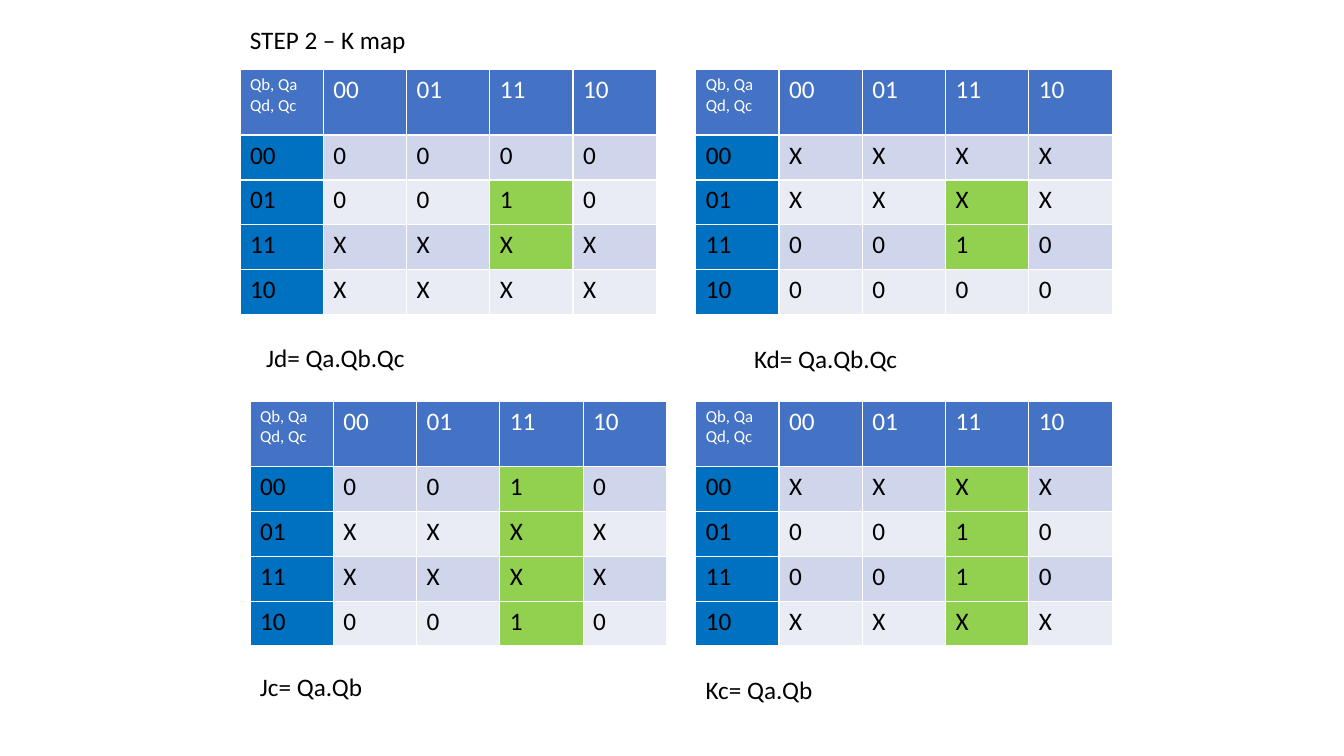
import pptx
import pptx.dml.color
import pptx.enum.text
import pptx.util

Inches = pptx.util.Inches

GRAY_CODES = ["00", "01", "11", "10"]
TABLE_WIDTH, TABLE_HEIGHT, HEADER_HEIGHT = 4.13, 2.43, 0.65
LABEL_WIDTH, LABEL_HEIGHT = 2.48, 0.4
HEADER_FILL, CODE_FILL, GROUP_FILL = "4472C4", "0070C0", "92D050"
BAND_FILLS = ["CFD5EA", "E9EBF5"]
GROUP_COLUMN = GRAY_CODES.index("11")

# Each map: left, top, rows of values, grouped rows, equation, equation offset
MAPS = [
    (2.38, 0.69, ["0000", "0010", "XXXX", "XXXX"], [1, 2], "Jd= Qa.Qb.Qc", (0.16, 2.66)),
    (6.9, 0.69, ["XXXX", "XXXX", "0010", "0000"], [1, 2], "Kd= Qa.Qb.Qc", (0.48, 2.67)),
    (2.48, 3.98, ["0010", "XXXX", "XXXX", "0010"], [0, 1, 2, 3], "Jc= Qa.Qb", (0, 2.63)),
    (6.9, 3.98, ["XXXX", "0010", "0010", "XXXX"], [0, 1, 2, 3], "Kc= Qa.Qb", (0, 2.66)),
]


def color(value):
    """Return the colour for a hex string."""
    return pptx.dml.color.RGBColor.from_string(value)


def write(text_frame, text, size=18, font_color="000000"):
    """Put text into a frame, one paragraph per line."""
    text_frame.text = text
    for paragraph in text_frame.paragraphs:
        paragraph.font.name = "Calibri"
        paragraph.font.size = pptx.util.Pt(size)
        paragraph.font.bold = False
        paragraph.font.color.rgb = color(font_color)


def fill_cell(cell, text, fill, size=18, font_color="000000"):
    """Set the text and background of a table cell."""
    cell.fill.solid()
    cell.fill.fore_color.rgb = color(fill)
    write(cell.text_frame, text, size, font_color)


def add_label(slide, left, top, width, text, wrap=True):
    """Add a single-line text box."""
    box = slide.shapes.add_textbox(
        Inches(left), Inches(top), Inches(width), Inches(LABEL_HEIGHT))
    box.text_frame.word_wrap = wrap
    box.text_frame.auto_size = pptx.enum.text.MSO_AUTO_SIZE.SHAPE_TO_FIT_TEXT
    write(box.text_frame, text)


def add_map(slide, left, top, values, grouped_rows, equation, offset):
    """Add a Karnaugh map with its equation below."""
    count = len(GRAY_CODES) + 1
    table = slide.shapes.add_table(
        count, count, Inches(left), Inches(top),
        Inches(TABLE_WIDTH), Inches(TABLE_HEIGHT)).table
    for column in table.columns:
        column.width = Inches(TABLE_WIDTH / count)
    for row in table.rows:
        row.height = Inches((TABLE_HEIGHT - HEADER_HEIGHT) / len(GRAY_CODES))
    table.rows[0].height = Inches(HEADER_HEIGHT)

    fill_cell(table.cell(0, 0), "Qb, Qa\nQd, Qc", HEADER_FILL, 12, "FFFFFF")
    for index, code in enumerate(GRAY_CODES):
        fill_cell(table.cell(0, index + 1), code, HEADER_FILL, font_color="FFFFFF")
        fill_cell(table.cell(index + 1, 0), code, CODE_FILL)
        for position, value in enumerate(values[index]):
            grouped = position == GROUP_COLUMN and index in grouped_rows
            fill = GROUP_FILL if grouped else BAND_FILLS[index % 2]
            fill_cell(table.cell(index + 1, position + 1), value, fill)

    add_label(slide, left + offset[0], top + offset[1], LABEL_WIDTH, equation)


def main():
    """Build the Karnaugh map slide."""
    presentation = pptx.Presentation()
    presentation.slide_width = Inches(13.33)
    presentation.slide_height = Inches(7.5)
    slide = presentation.slides.add_slide(presentation.slide_layouts[6])
    for karnaugh_map in MAPS:
        add_map(slide, *karnaugh_map)
    add_label(slide, 2.38, 0.19, 1.76, "STEP 2 – K map", wrap=False)
    presentation.save("out.pptx")


if __name__ == "__main__":
    main()
